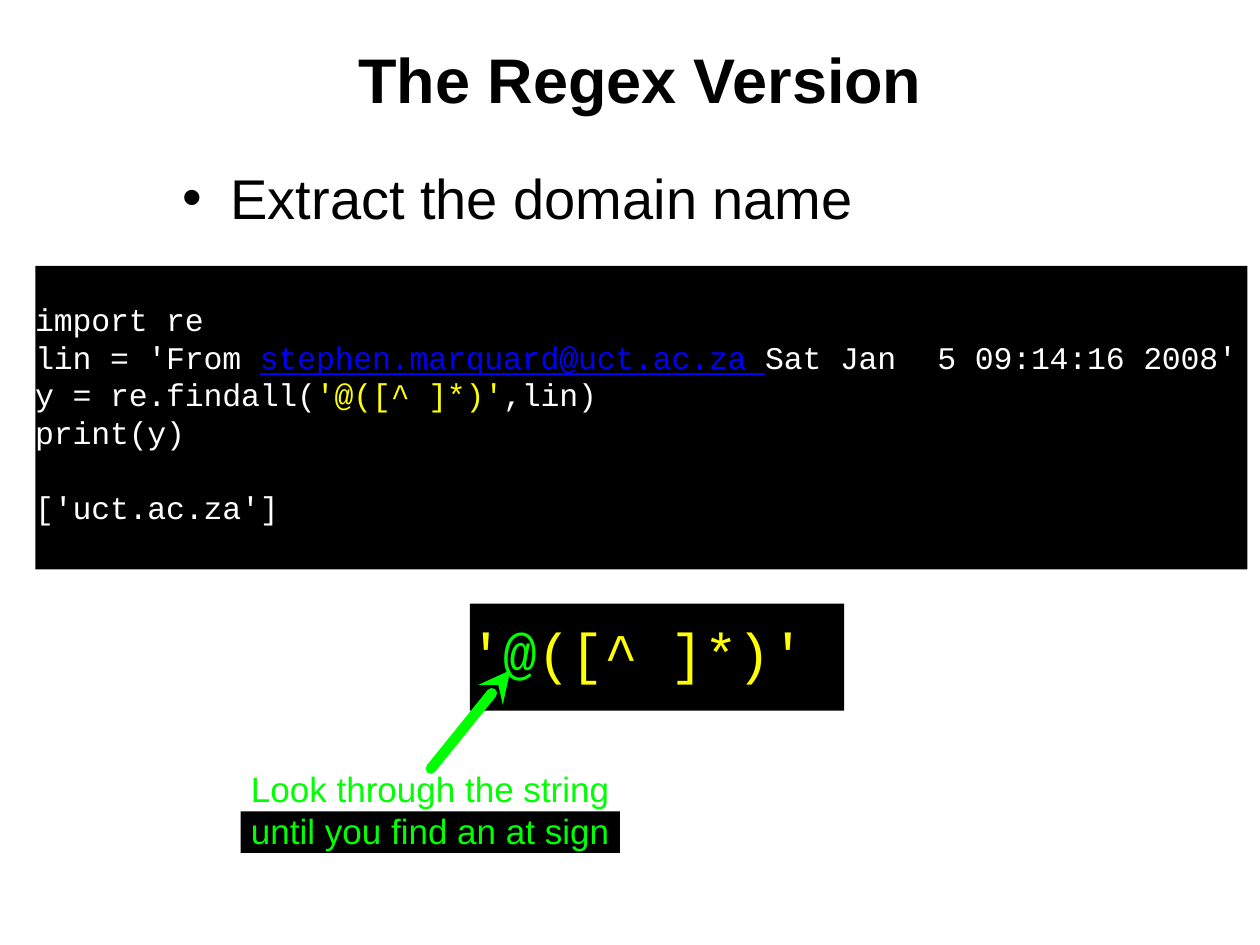
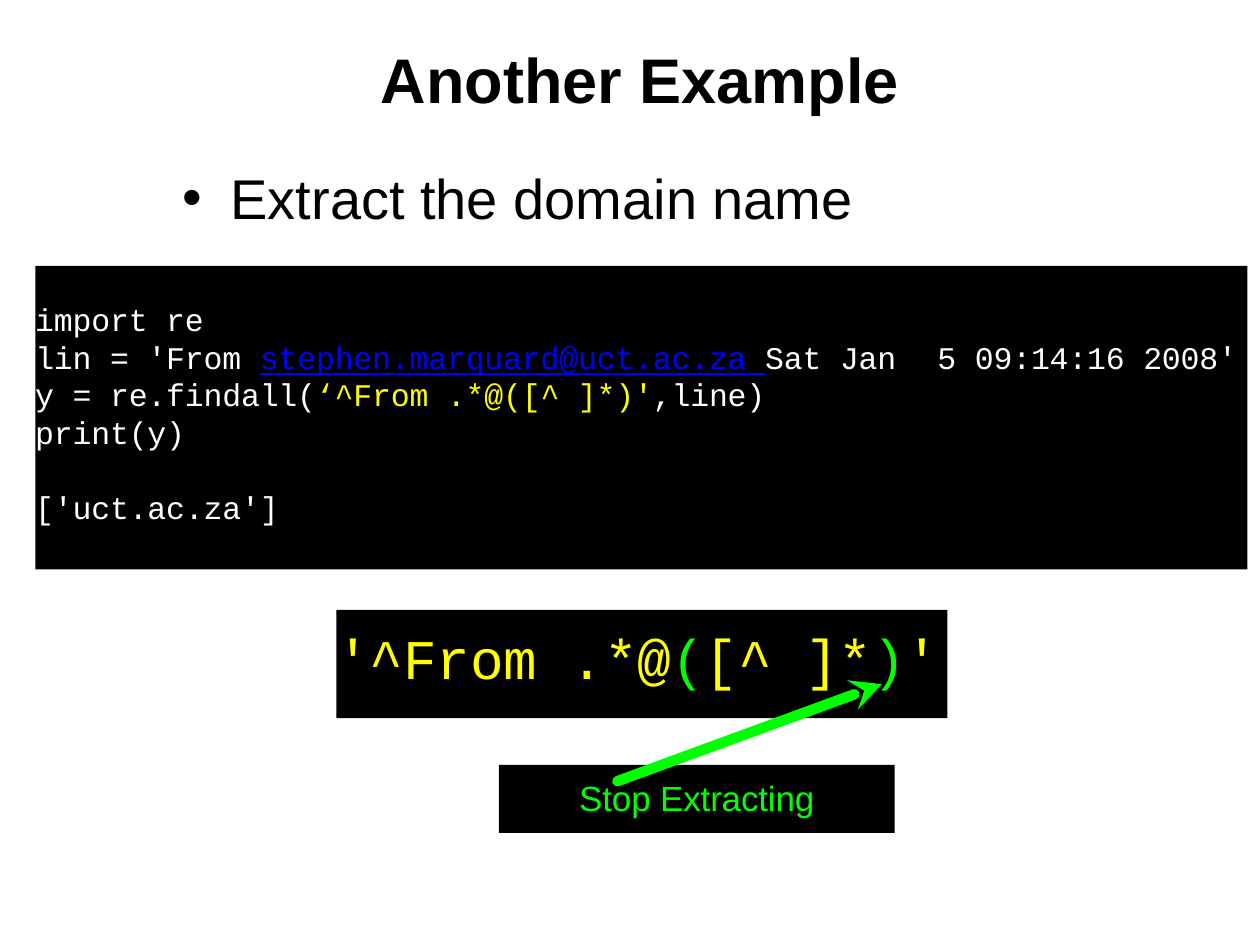
from lxml import etree
from pptx import Presentation
from pptx.dml.color import RGBColor
from pptx.enum.shapes import MSO_CONNECTOR, MSO_SHAPE
from pptx.enum.text import MSO_ANCHOR, MSO_AUTO_SIZE, PP_ALIGN
from pptx.oxml.ns import qn
from pptx.util import Inches, Pt

RECTANGLE, STRAIGHT = MSO_SHAPE.RECTANGLE, MSO_CONNECTOR.STRAIGHT
LEFT, CENTER = PP_ALIGN.LEFT, PP_ALIGN.CENTER

BLACK, WHITE, BLUE = "000000", "FFFFFF", "0000FF"
YELLOW, GREEN = "FFFF00", "00FF00"

# Text formats: size, font and tracking (hundredths of a point)
TITLE = {"size": Pt(36), "name": "Arial", "bold": True}
BULLET = {"size": Pt(32), "name": "Arial"}
CODE = {"size": Pt(18), "name": "Courier New"}
PATTERN = {"size": Pt(32), "name": "Courier New"}
LABEL = {"size": Pt(20), "name": "Arial"}
TIGHT = -10

FRAME = {
    "margin_left": 0, "margin_right": 0, "margin_bottom": 0,
    "margin_top": Inches(0.01), "word_wrap": True,
    "auto_size": MSO_AUTO_SIZE.NONE, "vertical_anchor": MSO_ANCHOR.TOP,
}


def set_values(target, values):
    for name, value in values.items():
        setattr(target, name, value)


def color(hex_value):
    return RGBColor.from_string(hex_value)


def place(shape, box):
    names = ("left", "top", "width", "height")
    set_values(shape, {name: Inches(value) for name, value in zip(names, box)})


def write(shape, lines, style, align=LEFT, top=0.01, before=1, tracking=0):
    """Fill a shape with lines; each line is a list of (text, colour) runs."""
    frame = shape.text_frame
    set_values(frame, {**FRAME, "margin_top": Inches(top)})
    for index, line in enumerate(lines):
        paragraph = frame.add_paragraph() if index else frame.paragraphs[0]
        set_values(paragraph, {"alignment": align, "space_before": Pt(0 if index else before)})
        for text, hex_value in line:
            run = paragraph.add_run()
            run.text = text
            set_values(run.font, style)
            run.font.color.rgb = color(hex_value)
            run.font.underline = True if hex_value == BLUE else None
            if tracking:
                run._r.get_or_add_rPr().set("spc", str(tracking))
    return frame


def add_text(slide, box, lines, style, **options):
    shape = slide.shapes.add_textbox(*map(Inches, box))
    return write(shape, lines, style, **options)


def add_panel(slide, box):
    panel = slide.shapes.add_shape(RECTANGLE, *map(Inches, box))
    panel.shadow.inherit = False
    panel.fill.solid()
    panel.fill.fore_color.rgb = color(BLACK)
    panel.line.fill.background()
    return panel


def add_arrow(slide, start, end):
    arrow = slide.shapes.add_connector(STRAIGHT, *map(Inches, start + end))
    arrow.line.width = Pt(6)
    arrow.line.color.rgb = color(GREEN)
    line = arrow.line._get_or_add_ln()
    line.set("cap", "rnd")
    etree.SubElement(line, qn("a:round"))
    etree.SubElement(line, qn("a:tailEnd"), type="stealth", w="med", len="med")
    etree.SubElement(arrow._element.spPr, qn("a:effectLst"))


def add_example_slide(presentation, title, pattern, argument):
    """Title, bullet and code listing that both examples share."""
    slide = presentation.slides.add_slide(presentation.slide_layouts[1])
    heading, body = slide.placeholders
    place(heading, (2.83, 0.31, 4.5, 0.63))
    write(heading, [[(title, BLACK)]], TITLE, align=CENTER)

    place(body, (1.44, 1.29, 5.34, 0.56))
    frame = write(body, [[("Extract the domain name", BLACK)]], BULLET)
    properties = frame.paragraphs[0]._p.get_or_add_pPr()
    properties.set("marL", str(Inches(0.39)))
    properties.set("indent", str(Inches(-0.38)))

    # Code listing
    add_panel(slide, (0.28, 2.11, 9.62, 2.41))
    address = "stephen.marquard@uct.ac.za "
    add_text(slide, (0.28, 2.37, 1.4, 0.33), [[("import re", WHITE)]], CODE, tracking=TIGHT)
    add_text(slide, (0.28, 2.67, 6.95, 0.33),
             [[("lin = 'From ", WHITE), (address, BLUE), ("Sat Jan", WHITE)]],
             CODE, tracking=TIGHT)
    add_text(slide, (7.44, 2.67, 2.45, 0.33), [[("5 09:14:16 2008'", WHITE)]],
             CODE, tracking=TIGHT)
    call = [("y = re.findall(", WHITE), (pattern, YELLOW), (f",{argument})", WHITE)]
    frame = add_text(slide, (0.28, 2.97, 6.74, 1.23),
                     [call, [("print(y)", WHITE)], [("['uct.ac.za']", WHITE)]],
                     CODE, tracking=TIGHT)
    frame.paragraphs[-1].space_before = Pt(21)
    return slide


def add_pattern(slide, box, runs):
    write(add_panel(slide, box), [runs], PATTERN, top=0.11, tracking=TIGHT)


def build_regex_version(presentation):
    slide = add_example_slide(presentation, "The Regex Version", "'@([^ ]*)'", "lin")
    add_pattern(slide, (3.73, 4.79, 2.97, 0.85),
                [("'", YELLOW), ("@", GREEN), ("([^ ]*)'", YELLOW)])
    # Two-line label, with a panel behind the second line
    add_text(slide, (1.91, 6.08, 3.01, 0.36), [[("Look through the string", GREEN)]],
             LABEL, align=CENTER)
    frame = write(add_panel(slide, (1.91, 6.44, 3.01, 0.33)),
                  [[("until you find an at sign", GREEN)]],
                  LABEL, align=CENTER, top=0, before=0)
    frame.paragraphs[0].line_spacing = Pt(22.9)
    add_arrow(slide, (3.42, 6.1), (4.05, 5.32))


def build_another_example(presentation):
    slide = add_example_slide(presentation, "Another Example", "‘^From .*@([^ ]*)'", "line")
    add_pattern(slide, (2.67, 4.84, 4.85, 0.86),
                [("'^From .*@", YELLOW), ("(", GREEN), ("[^ ]*", YELLOW),
                 (")", GREEN), ("'", YELLOW)])
    write(add_panel(slide, (3.96, 6.07, 3.14, 0.54)), [[("Stop Extracting", GREEN)]],
          LABEL, align=CENTER, top=0.09, tracking=TIGHT)
    add_arrow(slide, (4.9, 6.2), (7, 5.43))


def main():
    presentation = Presentation()
    presentation.slide_width = Inches(10)
    presentation.slide_height = Inches(7.5)
    build_regex_version(presentation)
    build_another_example(presentation)
    presentation.save("out.pptx")


if __name__ == "__main__":
    main()
